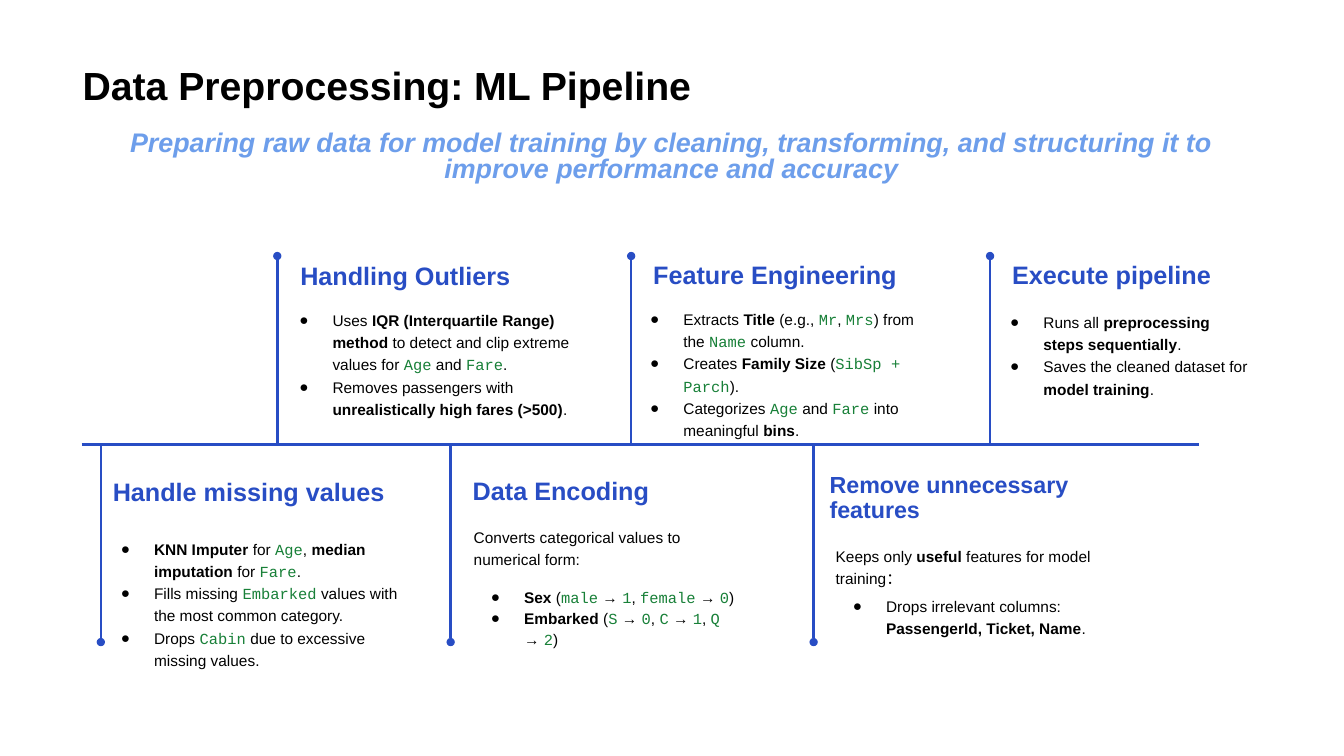
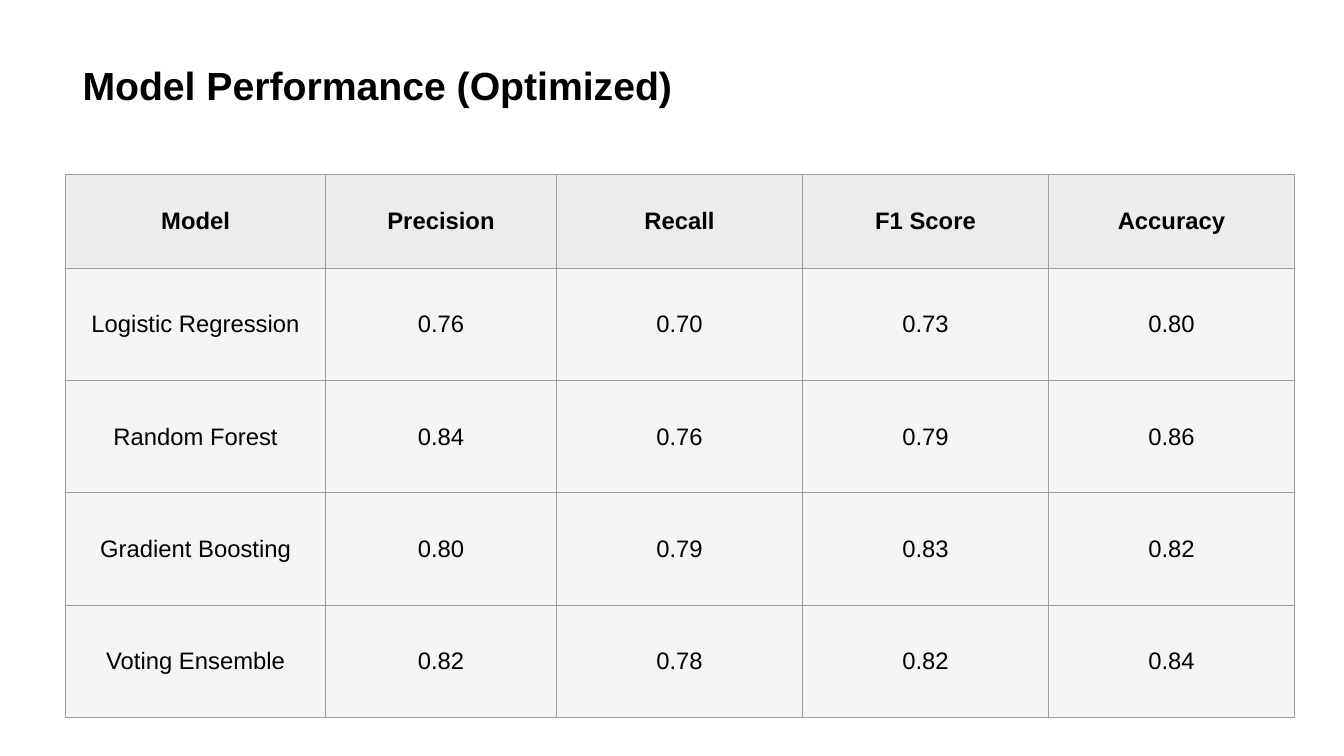
from dataclasses import dataclass

from lxml.etree import SubElement
from pptx import Presentation
from pptx.dml.color import RGBColor
from pptx.enum.shapes import MSO_CONNECTOR
from pptx.enum.text import MSO_ANCHOR, PP_ALIGN
from pptx.oxml.ns import qn
from pptx.util import Emu, Pt

PX = 9144  # EMU per px, 100 px to the inch

BLACK = RGBColor(0x00, 0x00, 0x00)
BLUE = RGBColor(0x28, 0x4D, 0xC4)
LIGHT_BLUE = RGBColor(0x6D, 0x9E, 0xEB)
CODE_GREEN = RGBColor(0x18, 0x80, 0x38)
HEADER_FILL = RGBColor(0xEC, 0xEC, 0xEC)
BODY_FILL = RGBColor(0xF5, 0xF5, 0xF5)
GRID = RGBColor(0x9E, 0x9E, 0x9E)

SANS = "Arial"
MONO = "Courier New"
CENTER = PP_ALIGN.CENTER
TOP, MIDDLE, BOTTOM = MSO_ANCHOR.TOP, MSO_ANCHOR.MIDDLE, MSO_ANCHOR.BOTTOM
STRAIGHT = MSO_CONNECTOR.STRAIGHT

TITLE_BOX = (72, 14, 1188, 98)
SUBTITLE_BOX = (72, 126, 1188, 73)
AXIS_Y, AXIS_LEFT, AXIS_RIGHT = 441, 81, 1189
SPUR_TOP, SPUR_BOTTOM = 254, 637
HEADING_HEIGHT = 65


@dataclass
class Stage:
    """A pipeline step; heading is (dx, bottom, width), body is (dx, top, width, height).

    Offsets dx run from the spur. In the texts *bold* and `code` are marked.
    """
    name: str
    spur_x: int
    spur_end: int
    heading: tuple
    body: tuple
    bullets: list
    intro: str = ""
    intro_gap: int = 0
    bullet_spacing: float = 1.2
    name_size: float = 18
    name_spacing: float = 1.0


STAGES = [
    Stage("Handle missing values", 100, SPUR_BOTTOM, (2, 507, 299), (-7, 527, 317, 138),
          ["*KNN Imputer* for `Age`, *median imputation* for `Fare`.",
           "Fills missing `Embarked` values with the most common category.",
           "Drops `Cabin` due to excessive missing values."]),
    Stage("Handling Outliers", 275, SPUR_TOP, (13, 293, 259), (-5, 300, 317, 95),
          ["Uses *IQR (Interquartile Range) method* to detect and clip extreme values "
           "for `Age` and `Fare`.",
           "Removes passengers with *unrealistically high fares (>500)*."]),
    Stage("Data Encoding", 447, SPUR_BOTTOM, (12, 506, 259), (13, 515, 282, 137),
          ["*Sex* (`male` → `1`, `female` → `0`)",
           "*Embarked* (`S` → `0`, `C` → `1`, `Q` → `2`)"],
          intro="Converts categorical values to numerical form:",
          intro_gap=12, bullet_spacing=1.15),
    Stage("Feature Engineering", 626, SPUR_TOP, (12, 292, 279), (-8, 299, 317, 95),
          ["Extracts *Title* (e.g., `Mr`, `Mrs`) from the `Name` column.",
           "Creates *Family Size* (`SibSp + Parch`).",
           "Categorizes `Age` and `Fare` into meaningful *bins*."]),
    Stage("Remove unnecessary features", 807, SPUR_BOTTOM, (6, 524, 259), (12, 534, 317, 95),
          ["Drops irrelevant columns: *PassengerId, Ticket, Name*."],
          intro="Keeps only *useful* features for model training：",
          intro_gap=4, name_size=16.6, name_spacing=0.9),
    Stage("Execute pipeline", 982, SPUR_TOP, (12, 292, 259), (-7, 302, 278, 95),
          ["Runs all *preprocessing steps sequentially*.",
           "Saves the cleaned dataset for *model training*."]),
]

SCORES = [
    ("Model", "Precision", "Recall", "F1 Score", "Accuracy"),
    ("Logistic Regression", "0.76", "0.70", "0.73", "0.80"),
    ("Random Forest", "0.84", "0.76", "0.79", "0.86"),
    ("Gradient Boosting", "0.80", "0.79", "0.83", "0.82"),
    ("Voting Ensemble", "0.82", "0.78", "0.82", "0.84"),
]


def px(length):
    return Emu(length * PX)


def set_font(font, size, color=BLACK, bold=False, italic=False):
    font.name, font.size, font.bold, font.italic = SANS, Pt(size), bold, italic
    font.color.rgb = color


def add_text_frame(slide, box, anchor=TOP):
    frame = slide.shapes.add_textbox(*map(px, box)).text_frame
    frame.word_wrap = True
    frame.vertical_anchor = anchor
    return frame


def add_label(slide, box, text, size, color=BLACK, anchor=TOP, align=None,
              spacing=1.0, italic=False):
    """Place one bold paragraph."""
    label = add_text_frame(slide, box, anchor).paragraphs[0]
    label.text, label.alignment, label.line_spacing = text, align, spacing
    set_font(label.font, size, color, bold=True, italic=italic)


def add_title(slide, text):
    add_label(slide, TITLE_BOX, text, 28, anchor=BOTTOM)


def add_line(slide, start, end, dot=False):
    line = slide.shapes.add_connector(STRAIGHT, *map(px, start + end))
    line.line.color.rgb = BLUE
    line.line.width = Pt(1.75)
    properties = line._element.spPr
    if dot:
        SubElement(properties.find(qn("a:ln")), qn("a:tailEnd"), type="oval")
    SubElement(properties, qn("a:effectLst"))


def add_marked_runs(paragraph, text):
    """Split text into runs at the *bold* and `code` marks."""
    for i, stretch in enumerate(text.split("`")):
        for j, words in enumerate(stretch.split("*")):
            if not words:
                continue
            run = paragraph.add_run()
            run.text = words
            if i % 2:
                run.font.name = MONO
                run.font.color.rgb = CODE_GREEN
            elif j % 2:
                run.font.bold = True


def make_bullet(paragraph):
    properties = paragraph._p.get_or_add_pPr()
    properties.set("marL", str(px(50)))
    properties.set("indent", str(px(-33)))
    color = SubElement(properties, qn("a:buClr"))
    SubElement(color, qn("a:srgbClr"), val=str(BLACK))
    SubElement(properties, qn("a:buFont"), typeface=SANS)
    SubElement(properties, qn("a:buChar"), char="●")


def add_stage_body(slide, box, stage):
    frame = add_text_frame(slide, box)
    texts = ([stage.intro] if stage.intro else []) + stage.bullets
    for i, text in enumerate(texts):
        paragraph = frame.add_paragraph() if i else frame.paragraphs[0]
        is_bullet = text != stage.intro
        paragraph.line_spacing = stage.bullet_spacing if is_bullet else 1.2
        if is_bullet:
            if text == stage.bullets[0]:
                paragraph.space_before = Pt(stage.intro_gap)
            make_bullet(paragraph)
        set_font(paragraph.font, 11)
        add_marked_runs(paragraph, text)


def add_stage(slide, stage):
    x = stage.spur_x
    add_line(slide, (x, AXIS_Y), (x, stage.spur_end), dot=True)
    dx, bottom, width = stage.heading
    add_label(slide, (x + dx, bottom - HEADING_HEIGHT, width, HEADING_HEIGHT), stage.name,
              stage.name_size, BLUE, BOTTOM, spacing=stage.name_spacing)
    dx, *rest = stage.body
    add_stage_body(slide, (x + dx, *rest), stage)


def build_pipeline(slide):
    add_title(slide, "Data Preprocessing: ML Pipeline")
    add_label(slide, SUBTITLE_BOX,
              "Preparing raw data for model training by cleaning, transforming, and "
              "structuring it to improve performance and accuracy",
              19.2, LIGHT_BLUE, align=CENTER, spacing=0.8, italic=True)
    add_line(slide, (AXIS_LEFT, AXIS_Y), (AXIS_RIGHT, AXIS_Y))
    for stage in STAGES:
        add_stage(slide, stage)


def add_cell_borders(cell):
    properties = cell._tc.get_or_add_tcPr()
    for i, side in enumerate(("a:lnL", "a:lnR", "a:lnT", "a:lnB")):
        border = SubElement(properties, qn(side), w=str(Pt(0.75)))
        fill = SubElement(border, qn("a:solidFill"))
        SubElement(fill, qn("a:srgbClr"), val=str(GRID))
        properties.insert(i, border)


def fill_cell(cell, text, is_header):
    cell.fill.solid()
    cell.fill.fore_color.rgb = HEADER_FILL if is_header else BODY_FILL
    cell.vertical_anchor = MIDDLE
    cell.margin_left = cell.margin_right = cell.margin_top = cell.margin_bottom = px(10)
    paragraph = cell.text_frame.paragraphs[0]
    paragraph.text, paragraph.alignment = text, CENTER
    set_font(paragraph.font, 17, bold=is_header)
    add_cell_borders(cell)


def add_score_table(slide, box, column_widths, header_height):
    table = slide.shapes.add_table(len(SCORES), len(SCORES[0]), *map(px, box)).table
    table.first_row = table.horz_banding = False
    for column, width in zip(table.columns, column_widths):
        column.width = px(width)
    body_height = px(box[3] - header_height) // (len(SCORES) - 1)
    for r, scores in enumerate(SCORES):
        table.rows[r].height = body_height if r else px(header_height)
        for c, text in enumerate(scores):
            fill_cell(table.cell(r, c), text, is_header=r == 0)


def build_performance(slide):
    add_title(slide, "Model Performance (Optimized)")
    add_score_table(slide, (65, 173, 1218, 539), (258, 229, 244, 244, 244), 93)


def main():
    deck = Presentation()
    deck.slide_width, deck.slide_height = px(1333), px(750)
    blank = deck.slide_layouts[6]
    for build in (build_pipeline, build_performance):
        build(deck.slides.add_slide(blank))
    deck.save("out.pptx")


if __name__ == "__main__":
    main()
